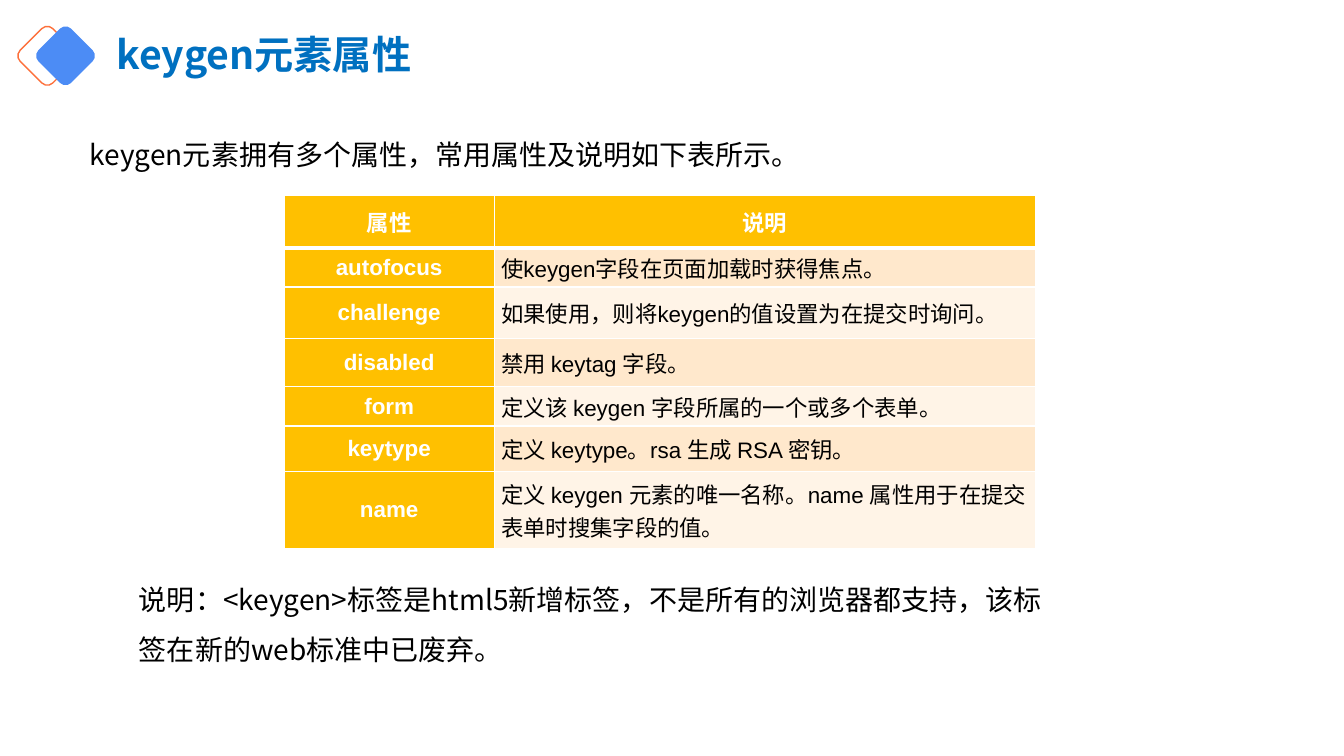
from dataclasses import dataclass

from lxml.etree import SubElement
from pptx import Presentation
from pptx.dml.color import RGBColor as RGB
from pptx.enum.shapes import MSO_SHAPE as Shape
from pptx.enum.text import MSO_ANCHOR as Anchor, PP_ALIGN as Align
from pptx.oxml import parse_xml
from pptx.oxml.ns import nsdecls, qn
from pptx.util import Pt


@dataclass(frozen=True)
class Theme:
    sans: str = "Noto Sans CJK SC"
    latin: str = "Arial"
    title: str = "0070C0"
    ink: str = "000000"
    white: str = "FFFFFF"
    blue: str = "4C8CF5"
    orange: str = "FD703B"
    gold: str = "FFC000"
    bands: tuple = ("FFE8CC", "FFF4E7")
    head: int = 28
    body: int = 20
    cell: int = 16


T = Theme()

ROWS = [
    ("属性", "说明", 37.4),
    ("autofocus", "使keygen字段在页面加载时获得焦点。", 28),
    ("challenge", "如果使用，则将keygen的值设置为在提交时询问。", 36.7),
    ("disabled", "禁用 keytag 字段。", 34.6),
    ("form", "定义该 keygen 字段所属的一个或多个表单。", 28),
    ("keytype", "定义 keytype。rsa 生成 RSA 密钥。", 32.4),
    ("name", "定义 keygen 元素的唯一名称。name 属性用于在提交表单时搜集字段的值。", 55.4),
]


def write(frame, text, size=T.body, color=T.ink, font=T.sans, bold=False,
          align=Align.LEFT, space=None, before=None, anchor=Anchor.TOP):
    frame.word_wrap = True
    frame.vertical_anchor = anchor
    para = frame.paragraphs[0]
    para.alignment = align
    if space:
        para.line_spacing = space
    if before:
        para.space_before = Pt(before)
    run = para.add_run()
    run.text = text
    run.font.size, run.font.bold, run.font.name = Pt(size), bold, font
    run.font.color.rgb = RGB.from_string(color)
    SubElement(run.font._element, qn("a:ea"), typeface=T.sans)


def label(slide, box, text, **style):
    area = slide.shapes.add_textbox(*map(Pt, box))
    write(area.text_frame, text, **style)


def icon(slide, box):
    """Draw an outlined diamond with a filled one overlapping it."""
    left, top, side = box
    for shift, fill in ((0, None), (13, T.blue)):
        tile = slide.shapes.add_shape(Shape.ROUNDED_RECTANGLE, Pt(left + shift),
                                      Pt(top), Pt(side), Pt(side))
        tile.rotation = 45
        tile.shadow.inherit = False
        if fill:
            tile.fill.solid()
            tile.fill.fore_color.rgb = RGB.from_string(fill)
            tile.line.fill.background()
        else:
            tile.fill.background()
            tile.line.color.rgb = RGB.from_string(T.orange)
            tile.line.width = Pt(1)


def edge(cell, **widths):
    """Add white borders; they must come before the cell's fill."""
    props = cell._tc.get_or_add_tcPr()
    for spot, side in enumerate("LRTB"):
        props.insert(spot, parse_xml(
            f'<a:ln{side} {nsdecls("a")} w="{Pt(widths.get(side, 1))}"><a:solidFill>'
            f'<a:srgbClr val="{T.white}"/></a:solidFill></a:ln{side}>'))


def grid(slide, box, cols):
    left, top = box
    high = sum(row[-1] for row in ROWS)
    table = slide.shapes.add_table(len(ROWS), len(cols), Pt(left), Pt(top),
                                   Pt(sum(cols)), Pt(high)).table
    for col, width in zip(table.columns, cols):
        col.width = Pt(width)
    for r, (*texts, height) in enumerate(ROWS):
        table.rows[r].height = Pt(height)
        for c, text in enumerate(texts):
            cell = table.cell(r, c)
            key = r == 0 or c == 0
            cell.margin_left = cell.margin_right = Pt(5)
            cell.margin_top = cell.margin_bottom = 0
            cell.vertical_anchor = Anchor.MIDDLE
            cell.fill.solid()
            cell.fill.fore_color.rgb = RGB.from_string(
                T.gold if key else T.bands[(r - 1) % 2])
            edge(cell, T=3 if r == 1 else 1, B=3 if r == 0 else 1)
            write(cell.text_frame, text, size=T.cell, font=T.latin, bold=key,
                  color=T.white if key else T.ink,
                  align=Align.CENTER if key else Align.LEFT,
                  anchor=Anchor.MIDDLE)


def main():
    deck = Presentation()
    deck.slide_width, deck.slide_height = Pt(960), Pt(540)
    slide = deck.slides.add_slide(deck.slide_layouts[6])
    icon(slide, (17.3, 23.4, 33))
    label(slide, (76.3, 12.2, 369.4, 57), "keygen元素属性", size=T.head,
          color=T.title, bold=True, space=0.9, anchor=Anchor.MIDDLE)
    label(slide, (57, 82.8, 822, 48), "keygen元素拥有多个属性，常用属性及说明如下表所示。",
          space=1.5, before=10)
    grid(slide, (203, 139.7), (150, 386.6))
    label(slide, (92.2, 400.3, 674.6, 80),
          "说明：<keygen>标签是html5新增标签，不是所有的浏览器都支持，"
          "该标签在新的web标准中已废弃。", space=1.5)
    deck.save("out.pptx")


if __name__ == "__main__":
    main()
